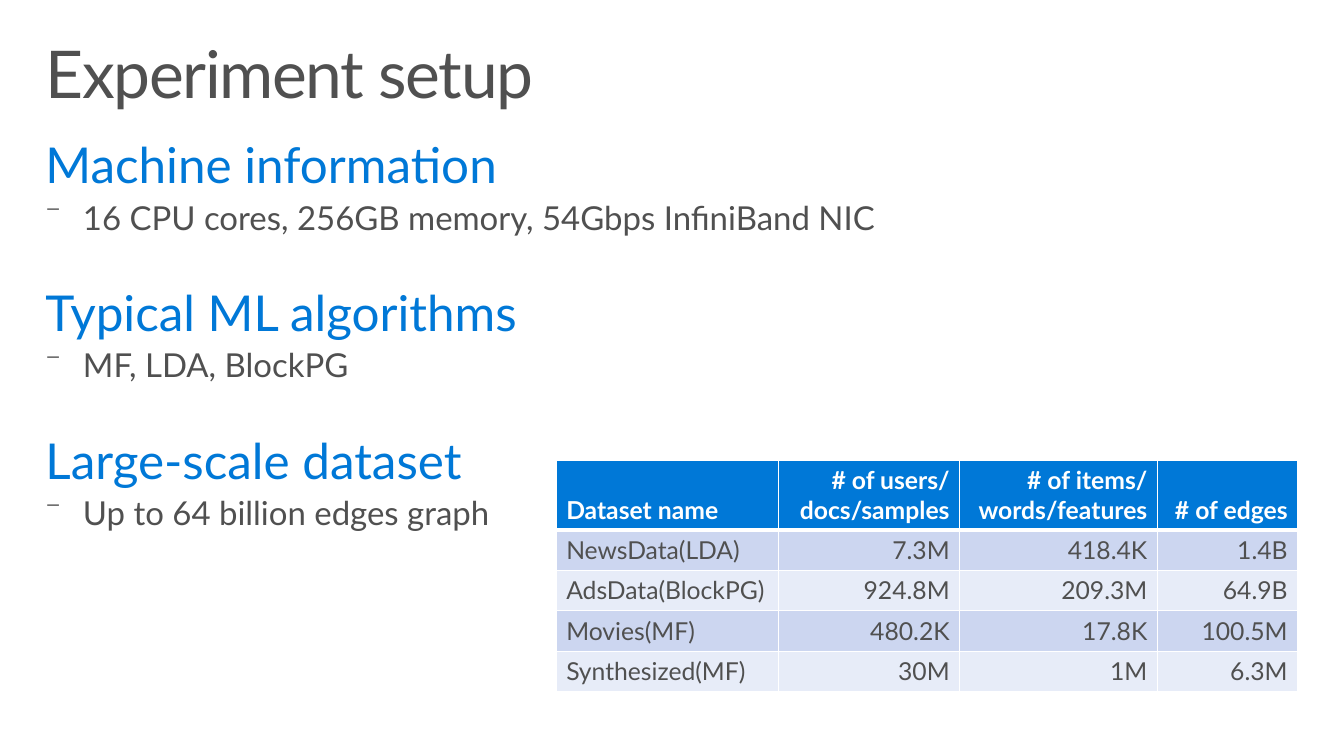
from lxml import etree
from pptx import Presentation
from pptx import util as u
from pptx.dml.color import RGBColor
from pptx.enum import text
from pptx.oxml import ns

BLUE = RGBColor(0x00, 0x78, 0xD7)
GREY = RGBColor(0x50, 0x50, 0x50)
WHITE = RGBColor(0xFF, 0xFF, 0xFF)
BANDS = [RGBColor(0xCC, 0xD6, 0xF0), RGBColor(0xE7, 0xEC, 0xF8)]
FONT = "Lato"

MARGIN, TEXT_WIDTH = 0.3, 13
TITLE_TOP, BODY_TOP, BODY_HEIGHT = 0.32, 1.33, 5.19
TABLE_LEFT, TABLE_TOP = 5.63, 4.66
HEADER_HEIGHT, ROW_HEIGHT = 0.68, 0.41
COLUMN_WIDTHS = [2.25, 1.83, 2, 1.42]
INDENT = u.Inches(0.38)


def add_run(paragraph, words, size, color, bold=False):
    """Add one styled run to a paragraph and return it."""
    run = paragraph.add_run()
    run.text = words
    run.font.name, run.font.size, run.font.bold = FONT, u.Pt(size), bold
    run.font.color.rgb = color
    return run


def add_frame(slide, top, height):
    """Add a full-width wrapping text area and return its text frame."""
    area = slide.shapes.add_textbox(*map(u.Inches, (MARGIN, top, TEXT_WIDTH, height)))
    frame = area.text_frame
    frame.word_wrap = True
    frame.margin_left = frame.margin_right = u.Inches(0.16)
    frame.margin_top = frame.margin_bottom = u.Inches(0.1)
    return frame


deck = Presentation()
deck.slide_width, deck.slide_height = u.Inches(13.6), u.Inches(7.65)
slide = deck.slides.add_slide(deck.slide_layouts[6])

# Title
title = add_frame(slide, TITLE_TOP, 1).paragraphs[0]
title.line_spacing = 0.9
title_run = add_run(title, "Experiment setup", 48, GREY)
title_run.font._element.set("spc", "-100")

# Three topics, each a heading with one dashed detail
topics = [
    ("Machine information", "16 CPU cores, 256GB memory, 54Gbps InfiniBand NIC"),
    ("Typical ML algorithms", "MF, LDA, BlockPG"),
    ("Large-scale dataset", "Up to 64 billion edges graph"),
]
body = add_frame(slide, BODY_TOP, BODY_HEIGHT)
for number, (topic, fact) in enumerate(topics):
    heading = body.add_paragraph() if number else body.paragraphs[0]
    heading.line_spacing = 0.9
    heading.space_before = u.Pt(38 if number else 0)
    add_run(heading, topic, 36, BLUE)

    detail = body.add_paragraph()
    detail.line_spacing = 0.9
    detail.space_before = u.Pt(5)
    add_run(detail, fact, 24, GREY)
    properties = detail._p.get_or_add_pPr()
    properties.set("marL", str(INDENT))
    properties.set("indent", str(-INDENT))
    etree.SubElement(properties, ns.qn("a:buSzPct"), val="90000")
    etree.SubElement(properties, ns.qn("a:buChar"), char="\u207b")

# Dataset table
datasets = [
    ("Dataset name", "# of users/ docs/samples", "# of items/ words/features", "# of edges"),
    ("NewsData(LDA)", "7.3M", "418.4K", "1.4B"),
    ("AdsData(BlockPG)", "924.8M", "209.3M", "64.9B"),
    ("Movies(MF)", "480.2K", "17.8K", "100.5M"),
    ("Synthesized(MF)", "30M", "1M", "6.3M"),
]
row_heights = [HEADER_HEIGHT] + [ROW_HEIGHT] * (len(datasets) - 1)
table = slide.shapes.add_table(
    len(datasets), len(COLUMN_WIDTHS),
    *map(u.Inches, (TABLE_LEFT, TABLE_TOP, sum(COLUMN_WIDTHS), sum(row_heights))),
).table
for column, width in zip(table.columns, COLUMN_WIDTHS):
    column.width = u.Inches(width)

for r, record in enumerate(datasets):
    is_header = r == 0
    table.rows[r].height = u.Inches(row_heights[r])
    for c, value in enumerate(record):
        cell = table.cell(r, c)
        for side in "LRTB":
            thick = (is_header and side == "B") or (r == 1 and side == "T")
            border = etree.SubElement(cell._tc.get_or_add_tcPr(), ns.qn(f"a:ln{side}"),
                                      w=str(u.Pt(3 if thick else 1)))
            paint = etree.SubElement(border, ns.qn("a:solidFill"))
            etree.SubElement(paint, ns.qn("a:srgbClr"), val=str(WHITE))
        cell.fill.solid()
        cell.fill.fore_color.rgb = BLUE if is_header else BANDS[(r - 1) % 2]
        cell.vertical_anchor = text.MSO_ANCHOR.BOTTOM if is_header else text.MSO_ANCHOR.TOP
        entry = cell.text_frame.paragraphs[0]
        entry.alignment = text.PP_ALIGN.RIGHT if c else text.PP_ALIGN.LEFT
        add_run(entry, value, 18, WHITE if is_header else GREY, bold=is_header)

deck.save("out.pptx")
